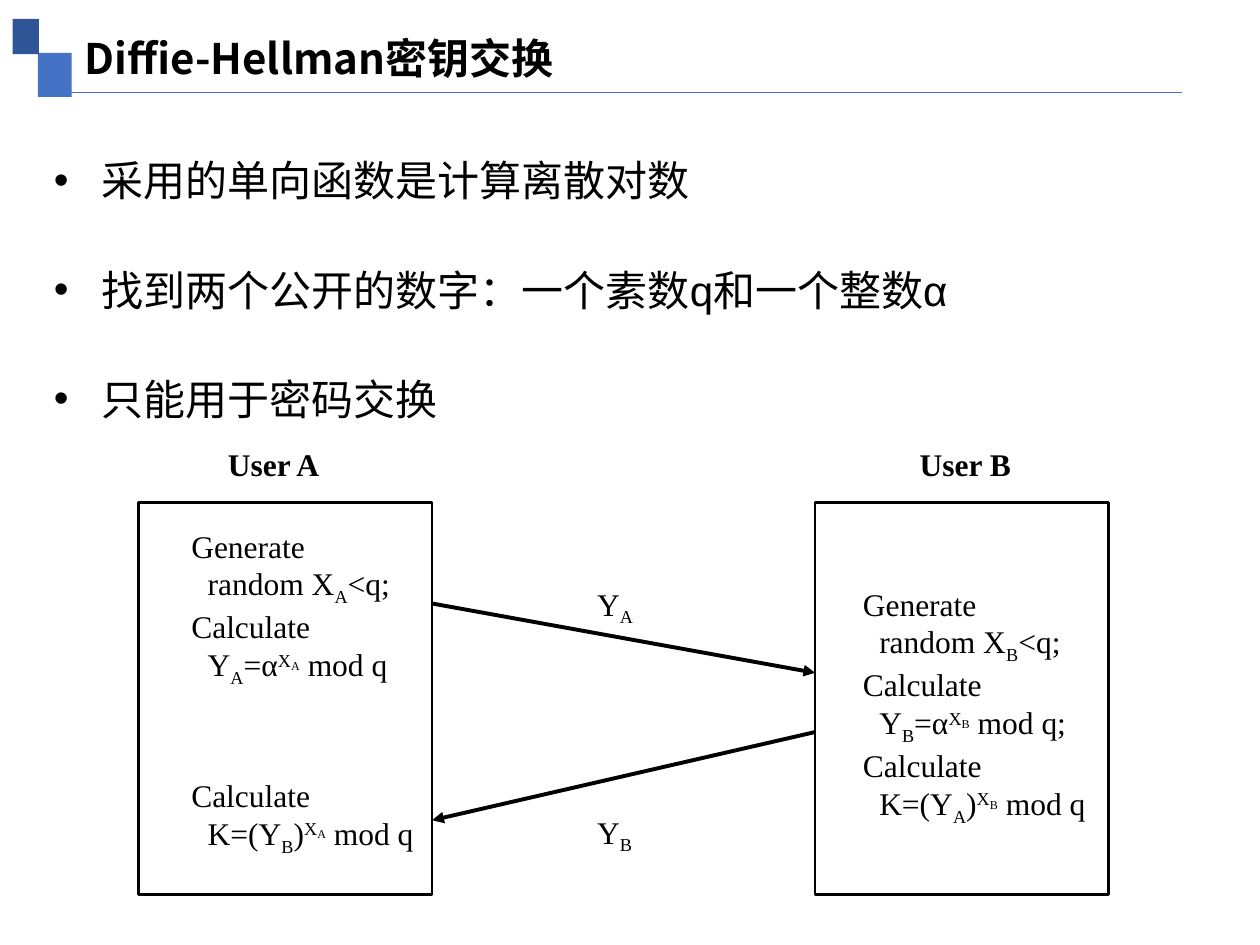
from dataclasses import dataclass

from lxml.etree import SubElement
from pptx import Presentation
from pptx.dml.color import RGBColor
from pptx.enum.shapes import MSO_CONNECTOR, MSO_SHAPE
from pptx.enum.text import MSO_ANCHOR, PP_ALIGN
from pptx.oxml.ns import qn
from pptx.util import Inches, Pt


@dataclass(frozen=True)
class Theme:
    """Colours, fonts and type sizes of the deck."""
    ink: str = "000000"
    blue: str = "4472C4"
    navy: str = "2F5597"
    head: str = "Noto Sans CJK SC"
    body: str = "Arial"
    serif: str = "Times New Roman"
    big: int = 24
    mid: int = 18
    tiny: int = 12


class Deck:
    """Draws styled elements on the current slide."""

    def __init__(self, prs, theme):
        """Start a title-only slide."""
        self.theme = theme
        self.slide = prs.slides.add_slide(prs.slide_layouts[5])
        self.shapes = self.slide.shapes

    def apply(self, item, style):
        """Set each value of a style dict on an item."""
        for name, value in style.items():
            setattr(item, name, value)

    def put(self, para, text, face, size, bold=False, base=0):
        """Add one run to a paragraph."""
        run = para.add_run()
        run.text = text
        self.apply(run.font, {"name": face, "size": Pt(size), "bold": bold})
        run.font.color.rgb = RGBColor.from_string(self.theme.ink)
        props = run._r.get_or_add_rPr()
        SubElement(props, qn("a:ea")).set("typeface", self.theme.head)
        if base:
            props.set("baseline", str(base * 1000))

    def place(self, shape, box):
        """Move and size a shape."""
        names = ("left", "top", "width", "height")
        self.apply(shape, dict(zip(names, map(Inches, box))))

    def title(self, text, box):
        """Fill the title placeholder."""
        shape = self.shapes.title
        self.place(shape, box)
        frame = shape.text_frame
        self.apply(frame, {"word_wrap": True, "vertical_anchor": MSO_ANCHOR.MIDDLE})
        para = frame.paragraphs[0]
        para.alignment = PP_ALIGN.LEFT
        self.put(para, text, self.theme.head, self.theme.big, True)

    def frame(self, box):
        """Add an empty text box that wraps."""
        frame = self.shapes.add_textbox(*map(Inches, box)).text_frame
        frame.word_wrap = True
        return frame

    def paras(self, frame, lines):
        """Yield a paragraph for each line."""
        for i, line in enumerate(lines):
            yield (frame.add_paragraph() if i else frame.paragraphs[0]), line

    def bullets(self, lines, box):
        """Add a bulleted list."""
        for para, line in self.paras(self.frame(box), lines):
            self.apply(para, {"line_spacing": 2.0, "space_before": Pt(4.8)})
            props = para._p.get_or_add_pPr()
            props.set("marL", str(Inches(0.38)))
            props.set("indent", str(-Inches(0.38)))
            SubElement(props, qn("a:buFont")).set("typeface", self.theme.body)
            SubElement(props, qn("a:buChar")).set("char", "•")
            self.put(para, line, self.theme.body, self.theme.big)

    def steps(self, lines, box, bold=False):
        """Add serif lines of (text, kind) runs, formulas set in."""
        mid, tiny = self.theme.mid, self.theme.tiny
        kinds = {"": (mid, 0), "sub": (mid, -25), "sup": (mid, 30), "tiny": (tiny, 30)}
        for para, line in self.paras(self.frame(box), lines):
            if len(lines) > 1 and len(line) > 1:
                para._p.get_or_add_pPr().set("marL", str(Inches(0.13)))
            for text, kind in line:
                size, base = kinds[kind]
                self.put(para, text, self.theme.serif, size, bold, base)

    def rect(self, box, fill=None):
        """Add a filled block or an outlined box."""
        shape = self.shapes.add_shape(MSO_SHAPE.RECTANGLE, *map(Inches, box))
        shape.shadow.inherit = False
        if fill:
            shape.fill.solid()
            shape.fill.fore_color.rgb = RGBColor.from_string(fill)
            shape.line.fill.background()
        else:
            shape.fill.background()
            shape.line.color.rgb = RGBColor.from_string(self.theme.ink)
            shape.line.width = Pt(1.5)

    def line(self, start, end, color, width, arrow=False):
        """Add a straight line, with an arrowhead if asked."""
        ends = map(Inches, (*start, *end))
        link = self.shapes.add_connector(MSO_CONNECTOR.STRAIGHT, *ends)
        link.line.color.rgb = RGBColor.from_string(color)
        link.line.width = Pt(width)
        props = link._element.spPr
        if arrow:
            SubElement(props.get_or_add_ln(), qn("a:tailEnd")).set("type", "triangle")
        SubElement(props, qn("a:effectLst"))


def pick(user):
    """Return the steps that pick a secret and its public value."""
    return [
        [("Generate", "")],
        [("random X", ""), (user, "sub"), ("<q;", "")],
        [("Calculate", "")],
        [("Y", ""), (user, "sub"), ("=α", ""), ("X", "sup"), (user, "tiny"),
         (" mod q" if user == "A" else " mod q;", "")],
    ]


def derive(user, peer):
    """Return the steps that derive the shared key."""
    return [
        [("Calculate", "")],
        [("K=(Y", ""), (peer, "sub"), (")", ""), ("X", "sup"), (user, "tiny"),
         (" mod q", "")],
    ]


def main():
    """Build the key exchange slide."""
    prs = Presentation()
    prs.slide_width, prs.slide_height = Inches(10), Inches(7.5)
    theme = Theme()
    deck = Deck(prs, theme)

    deck.rect((0.3, 0.42, 0.27, 0.35), theme.blue)
    deck.rect((0.1, 0.15, 0.21, 0.28), theme.navy)
    deck.title("Diffie-Hellman密钥交换", (0.57, 0.21, 8.86, 0.5))
    deck.line((0.51, 0.73), (9.38, 0.73), theme.blue, 0.5)
    deck.bullets(
        ["采用的单向函数是计算离散对数",
         "找到两个公开的数字：一个素数q和一个整数α",
         "只能用于密码交换"],
        (0.33, 0.78, 9.48, 2.56))

    left, right, wide = 1.1, 6.47, 2.33
    edge = left + wide
    for user, x, name in (("A", left, 1.71), ("B", right, 7.2)):
        deck.rect((x, 3.99, wide, 3.11))
        deck.steps([[(f"User {user}", "")]], (name, 3.48, 1.11, 0.4), True)
    deck.steps(pick("A"), (1.42, 4.13, 2.01, 1.31))
    deck.steps(derive("A", "B"), (1.42, 6.11, 2.43, 0.7))
    deck.steps(pick("B") + derive("B", "A"), (6.75, 4.59, 2.01, 1.92))

    sends = (("A", (edge, 4.79), (right, 5.34), 4.59),
             ("B", (right, 5.81), (edge, 6.51), 6.4))
    for user, start, end, y in sends:
        deck.line(start, end, theme.ink, 2.25, True)
        deck.steps([[("Y", ""), (user, "sub")]], (4.64, y, 0.63, 0.4))
    prs.save("out.pptx")


if __name__ == "__main__":
    main()
